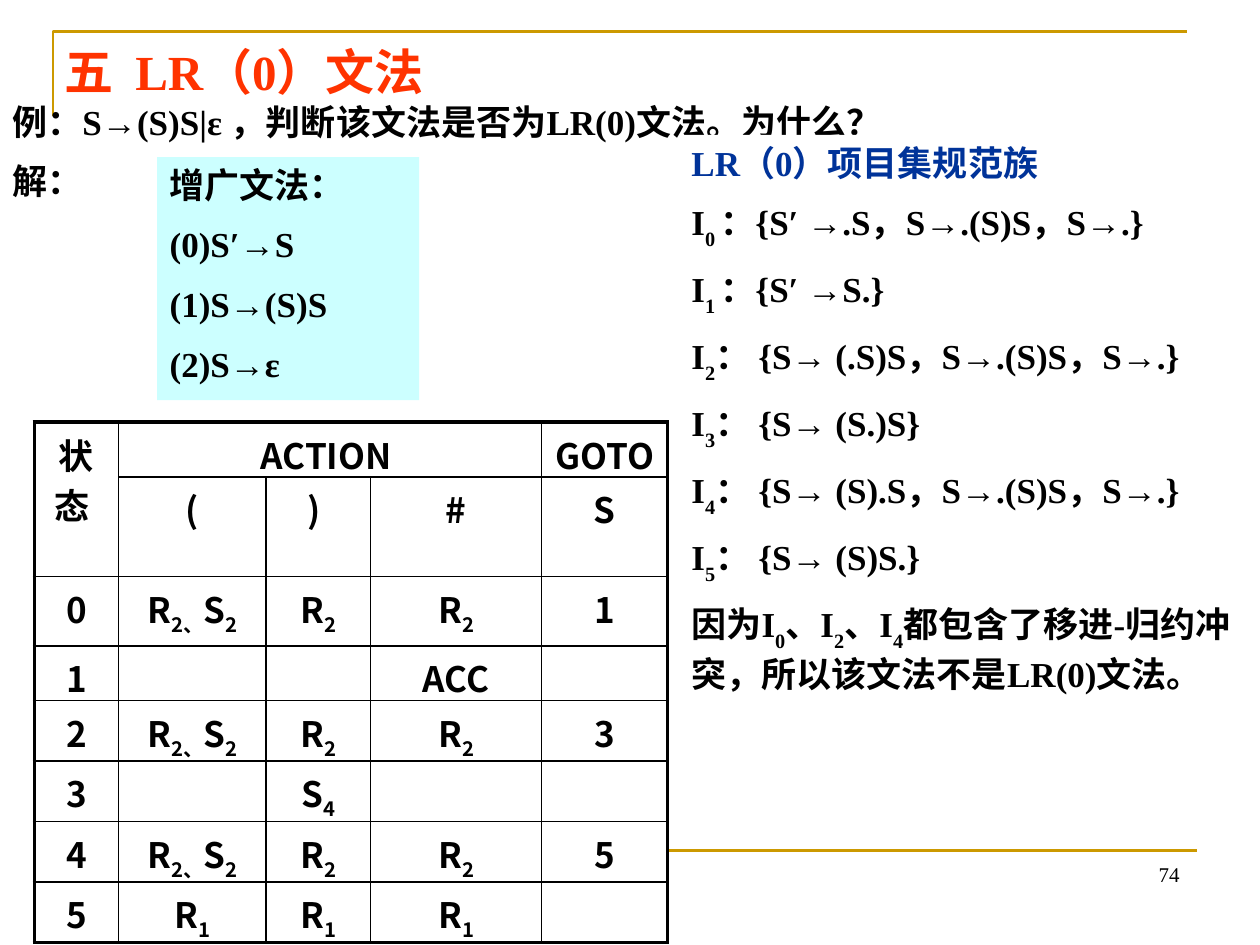
from lxml import etree
from pptx import Presentation
from pptx.dml.color import RGBColor
from pptx.enum.shapes import MSO_CONNECTOR, MSO_SHAPE
from pptx.enum.text import MSO_ANCHOR, PP_ALIGN
from pptx.oxml.ns import qn
from pptx.util import Cm, Pt

LINE = MSO_CONNECTOR.STRAIGHT
RECT = MSO_SHAPE.RECTANGLE
TOP, BOTTOM = MSO_ANCHOR.TOP, MSO_ANCHOR.BOTTOM
LEFT, CENTER = PP_ALIGN.LEFT, PP_ALIGN.CENTER
RIGHT, JUST = PP_ALIGN.RIGHT, PP_ALIGN.JUSTIFY

BLACK = RGBColor(0, 0, 0)
WHITE = RGBColor(0xFF, 0xFF, 0xFF)
GOLD = RGBColor(0xCC, 0x99, 0x00)
CYAN = RGBColor(0xCC, 0xFF, 0xFF)
BLUE = RGBColor(0x00, 0x33, 0x99)
RED = RGBColor(0xFF, 0x33, 0x00)

SERIF = "Times New Roman"
SANS = "Noto Sans CJK SC"


class Deck:
    def __init__(self, wide, high):
        self.prs = Presentation()
        self.prs.slide_width, self.prs.slide_height = Cm(wide), Cm(high)
        self.slide = self.prs.slides.add_slide(self.prs.slide_layouts[5])
        self.shapes = self.slide.shapes

    def runs(self, para, text, size=20, color=BLACK, bold=True, face=SERIF, drop=-30):
        for i, part in enumerate(text.split("_")):
            run = para.add_run()
            run.text = part
            font = run.font
            font.size, font.bold, font.name = Pt(size), bold, face
            font.color.rgb = color
            props = run._r.get_or_add_rPr()
            etree.SubElement(props, qn("a:ea")).set("typeface", SANS)
            if i % 2:
                props.set("baseline", str(drop * 1000))

    def fill(self, frame, lines, align=LEFT, anchor=TOP, **style):
        frame.word_wrap = True
        frame.vertical_anchor = anchor
        for i, line in enumerate(lines):
            para = frame.paragraphs[0] if i == 0 else frame.add_paragraph()
            text, look = line if isinstance(line, tuple) else (line, {})
            para.alignment = look.get("align", align)
            if i:
                para.space_before = Pt(10)
            extra = {k: v for k, v in look.items() if k != "align"}
            self.runs(para, text, **{**style, **extra})

    def title(self, box, text, **style):
        shape = self.shapes.title
        shape.left, shape.top, shape.width, shape.height = map(Cm, box)
        self.fill(shape.text_frame, [text], **style)

    def text(self, box, lines, **style):
        shape = self.shapes.add_textbox(*map(Cm, box))
        self.fill(shape.text_frame, lines, **style)

    def panel(self, box, color, lines, **style):
        shape = self.shapes.add_shape(RECT, *map(Cm, box))
        shape.shadow.inherit = False
        shape.fill.solid()
        shape.fill.fore_color.rgb = color
        shape.line.fill.background()
        self.fill(shape.text_frame, lines, **style)

    def stroke(self, shape):
        shape.line.color.rgb = GOLD
        shape.line.width = Pt(1.5)

    def rule(self, x, y, end):
        line = self.shapes.add_connector(LINE, Cm(x), Cm(y), Cm(end), Cm(y))
        self.stroke(line)
        etree.SubElement(line._element.spPr, qn("a:effectLst"))

    def bend(self, first, *rest):
        pen = self.shapes.build_freeform(*map(Cm, first))
        pen.add_line_segments([tuple(map(Cm, p)) for p in rest], close=False)
        shape = pen.convert_to_shape()
        shape.shadow.inherit = False
        shape.fill.background()
        self.stroke(shape)

    def edge(self, cell, **widths):
        props = cell._tc.get_or_add_tcPr()
        for i, (side, width) in enumerate(widths.items()):
            line = etree.Element(qn("a:ln" + side), w=str(Pt(width)))
            solid = etree.SubElement(line, qn("a:solidFill"))
            etree.SubElement(solid, qn("a:srgbClr")).set("val", str(BLACK))
            props.insert(i, line)

    def table(self, x, y, cols, rows, data, spans):
        last, end = len(rows) - 1, len(cols) - 1
        size = map(Cm, (x, y, sum(cols), sum(rows)))
        grid = self.shapes.add_table(len(rows), len(cols), *size).table
        for col, width in zip(grid.columns, cols):
            col.width = Cm(width)
        for row, height in zip(grid.rows, rows):
            row.height = Cm(height)
        for r, line in enumerate(data):
            for c, text in enumerate(line):
                cell = grid.cell(r, c)
                cell.fill.solid()
                cell.fill.fore_color.rgb = WHITE
                self.edge(cell, L=1 if c else 2.25, R=2.25 if c == end else 1,
                          T=1 if r else 2.25, B=2.25 if r == last else 1)
                if text:
                    para = cell.text_frame.paragraphs[0]
                    para.alignment = CENTER
                    self.runs(para, text, face=SANS, drop=-25)
        for (r, c), (to, at) in spans:
            grid.cell(r, c).merge(grid.cell(to, at))


def main():
    deck = Deck(25.4, 19.05)
    deck.bend((1.07, 2.34), (1.07, 0.64), (23.93, 0.64))
    deck.rule(1.27, 17.15, 24.13)
    deck.text((18.11, 16.74, 5.92, 1.27), ["74"], align=RIGHT, anchor=BOTTOM,
              size=12, bold=False)
    deck.text((0, 1.9, 25.4, 2.36),
              ["例：S→(S)S|ε ，判断该文法是否为LR(0)文法。为什么？", "解："], align=JUST)
    deck.panel((3.17, 3.17, 5.28, 4.9), CYAN,
               ["增广文法：", "(0)S′→S", "(1)S→(S)S", "(2)S→ε"])
    deck.panel((13.69, 2.72, 11.71, 10.95), WHITE, [
        ("LR（0）项目集规范族", {"color": BLUE}),
        "I_0 _：{S′ →.S，S→.(S)S，S→.}",
        "I_1 _：{S′ →S.}",
        "I_2_： {S→ (.S)S，S→.(S)S，S→.}",
        "I_3_： {S→ (S.)S}",
        "I_4_： {S→ (S).S，S→.(S)S，S→.}",
        "I_5_： {S→ (S)S.}",
        ("因为I_0_、I_2_、I_4_都包含了移进-归约冲突，所以该文法不是LR(0)文法。",
         {"align": LEFT}),
    ], align=JUST)
    both, red, one = "R_2、_S_2", "R_2", "R_1"
    deck.table(0.69, 8.51, [1.7, 2.97, 2.11, 3.45, 2.54],
               [1.09, 2.01, 1.4] + [1.09] * 5, [
                   ["状态 ", "ACTION ", "", "", "GOTO "],
                   ["", "(", ") ", "#", "S"],
                   ["0", both, red, red, "1"],
                   ["1", "", "", "ACC", ""],
                   ["2", both, red, red, "3"],
                   ["3", "", "S_4", "", ""],
                   ["4", both, red, red, "5"],
                   ["5", one, one, one, ""],
               ], [((0, 0), (1, 0)), ((0, 1), (0, 3))])
    deck.title((1.04, 0.71, 22.86, 1.45), "五  LR（0）文法", size=28, color=RED)
    deck.prs.save("out.pptx")


if __name__ == "__main__":
    main()
